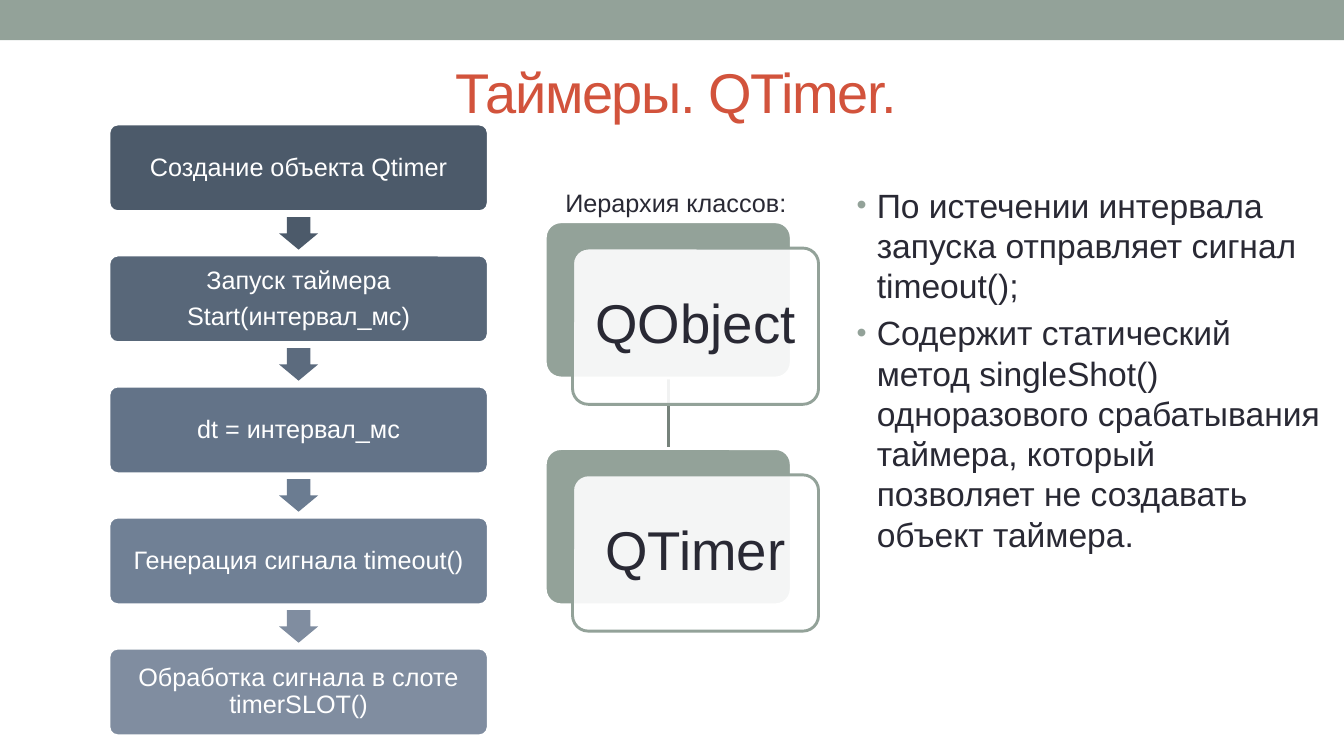
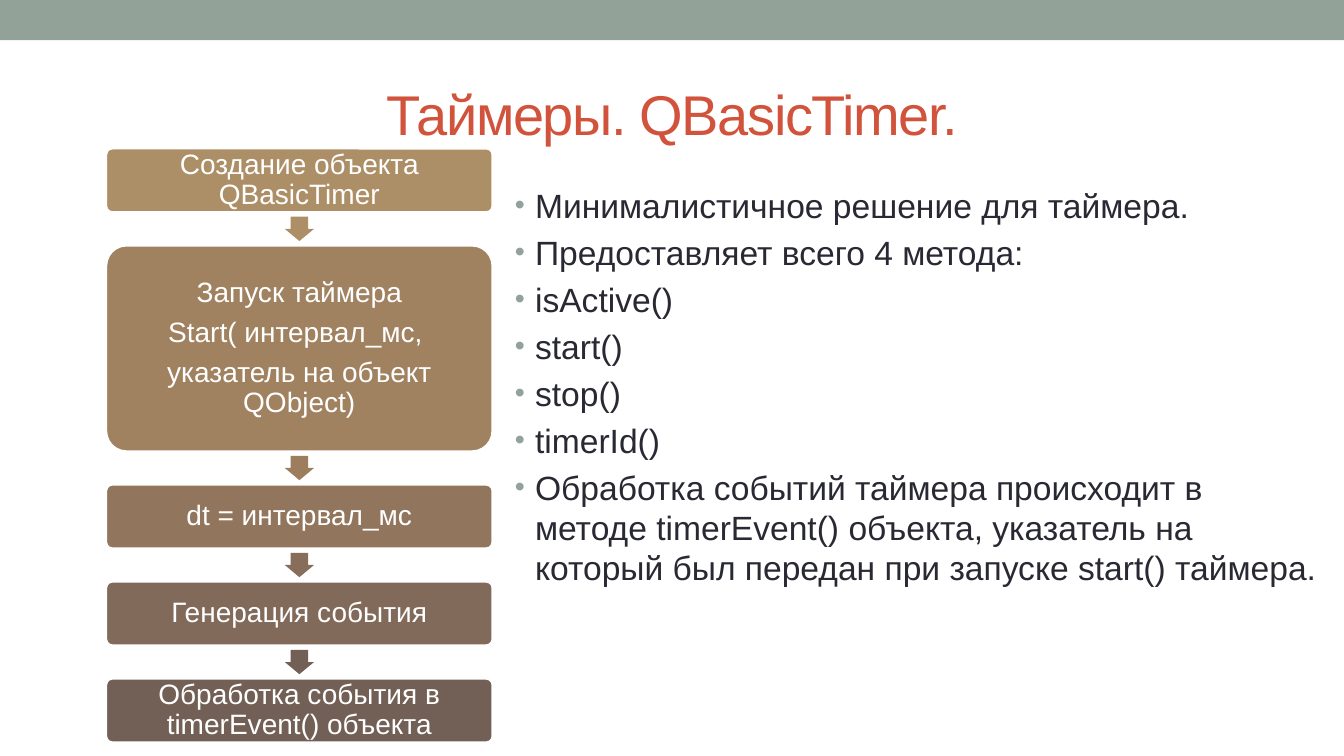
import itertools
import lxml.etree
import pptx
import pptx.dml.color
import pptx.enum.shapes
import pptx.enum.text
import pptx.oxml.ns
import pptx.util

Pt = pptx.util.Pt
qn = pptx.oxml.ns.qn
Kind = pptx.enum.shapes.MSO_SHAPE
Side = pptx.enum.text.PP_ALIGN
Hold = pptx.enum.text.MSO_ANCHOR


class Theme:
    font = "Arial"
    sage = "93A299"
    red = "D2533C"
    ink = "292934"
    white = "FFFFFF"
    link = "76827B"
    head = 40
    card = 39
    body = 24
    note = 18
    line = 2.08
    wide = 960
    high = 540
    right = 950.4


DECKS = [
    {
        "title": ("Таймеры. QTimer.", 51.1, 25.9),
        "flow": {
            "left": 77.8, "top": 88.6, "width": 271, "gap": 31, "size": 18, "inset": 5,
            "steps": [
                (["Создание объекта Qtimer"], 62.6, "4C5A6A", "4C5A6A"),
                (["Запуск таймера", "Start(интервал_мс)"], 62.6, "586779", "5C6B7E"),
                (["dt = интервал_мс"], 62.6, "637388", "6B7C91"),
                (["Генерация сигнала timeout()"], 62.6, "708095", "808DA0"),
                (["Обработка сигнала в слоте timerSLOT()"], 62.6, "808DA0", None),
            ],
        },
        "tree": ("Иерархия классов:", ["QObject", "QTimer"]),
        "list": (604.8, [
            "По истечении интервала запуска отправляет сигнал timeout();",
            "Содержит статический метод singleShot() одноразового срабатывания таймера, "
            "который позволяет не создавать объект таймера.",
        ]),
    },
    {
        "title": ("Таймеры. QBasicTimer.", 48.2, 41.8),
        "flow": {
            "left": 75.6, "top": 105.8, "width": 276.5, "gap": 23.2, "size": 20, "inset": 5.5,
            "steps": [
                (["Создание объекта QBasicTimer"], 46.1, "AD8F67", "AD8F67"),
                (["Запуск таймера", "Start( интервал_мс, ", "указатель на объект QObject)"],
                 147.6, "A18260", "9C7D5E"),
                (["dt = интервал_мс"], 46.1, "91755D", "866E5B"),
                (["Генерация события"], 46.1, "816A5A", "726056"),
                (["Обработка события в timerEvent() объекта"], 46.1, "726056", None),
            ],
        },
        "list": (360.7, [
            "Минималистичное решение для таймера.",
            "Предоставляет всего 4 метода:",
            "isActive()",
            "start()",
            "stop()",
            "timerId()",
            "Обработка событий таймера происходит в методе timerEvent() объекта, "
            "указатель на который был передан при запуске start() таймера.",
        ]),
    },
]


def tint(code):
    return pptx.dml.color.RGBColor.from_string(code)


def place(*box):
    return [Pt(part) for part in box]


def add_shape(slide, kind, box, fill, line=None, bends=()):
    shape = slide.shapes.add_shape(kind, *place(*box))
    shape.shadow.inherit = False
    shape.fill.solid()
    shape.fill.fore_color.rgb = tint(fill)
    if line:
        shape.line.color.rgb = tint(line)
        shape.line.width = Pt(Theme.line)
    else:
        shape.line.fill.background()
    for spot, bend in enumerate(bends):
        shape.adjustments[spot] = bend
    return shape


def write(shape, lines, size, color, side=Side.CENTER, hold=Hold.MIDDLE, inset=None):
    frame = shape.text_frame
    frame.word_wrap = True
    frame.vertical_anchor = hold
    if inset is not None:
        frame.margin_left = frame.margin_right = Pt(inset)
        frame.margin_top = frame.margin_bottom = Pt(inset)
    for spot, line in enumerate(lines):
        para = frame.add_paragraph() if spot else frame.paragraphs[0]
        para.alignment = side
        run = para.add_run()
        run.text = line
        run.font.name = Theme.font
        run.font.size = Pt(size)
        run.font.color.rgb = tint(color)
    return frame.paragraphs


def add_text(slide, box, *args, **extra):
    return write(slide.shapes.add_textbox(*place(*box)), *args, **extra)


def pack(paras, size):
    for para in paras:
        para.line_spacing = 0.9
        para.space_after = Pt(0.35 * size)


def draw_base(slide, text, left, top):
    add_shape(slide, Kind.RECTANGLE, (0, 0, Theme.wide, 28.8), Theme.sage)
    paras = add_text(slide, (left, top, 864, 77.8), [text], Theme.head, Theme.red)
    paras[0].runs[0].font._element.set("spc", "-100")


def draw_flow(slide, left, top, width, gap, size, inset, steps):
    wide, high = 0.9 * gap, 0.75 * gap
    for lines, tall, fill, arrow in steps:
        box = add_shape(slide, Kind.ROUNDED_RECTANGLE, (left, top, width, tall),
                        fill, Theme.white, [0.1])
        pack(write(box, lines, size, Theme.white, inset=inset), size)
        top += tall + gap
        if arrow:
            spot = (left + (width - wide) / 2, top - (gap + high) / 2, wide, high)
            add_shape(slide, Kind.DOWN_ARROW, spot, arrow, bends=[0.6, 0.5])


def draw_tree(slide, label, names):
    left, top, wide, high, step = 389.5, 158.4, 175.7, 111.6, 162
    mid = left + wide / 2
    tops = [top + step * spot for spot in range(len(names))]
    for start, end in itertools.pairwise(tops):
        link = slide.shapes.add_connector(pptx.enum.shapes.MSO_CONNECTOR.STRAIGHT,
                                          *place(mid, start + high, mid, end))
        link.line.color.rgb = tint(Theme.link)
        link.line.width = Pt(Theme.line)
        lxml.etree.SubElement(link.element.spPr, qn("a:effectLst"))
    for name, top in zip(names, tops):
        add_shape(slide, Kind.ROUNDED_RECTANGLE, (left, top, wide, high),
                  Theme.sage, Theme.white, [0.1])
        card = add_shape(slide, Kind.ROUNDED_RECTANGLE, (left + 19.5, top + 18.8, wide, high),
                         Theme.white, Theme.sage, [0.1])
        color = card.element.spPr.find(qn("a:solidFill"))[0]
        lxml.etree.SubElement(color, qn("a:alpha"), val="90000")
        pack(write(card, [name], Theme.card, Theme.ink, inset=11.5), Theme.card)
    add_text(slide, (378, 130.3, 209.5, 28.8), [label], Theme.note, Theme.ink, hold=Hold.TOP)


def draw_list(slide, left, lines):
    paras = add_text(slide, (left, 128.2, Theme.right - left, 383.8), lines,
                     Theme.body, Theme.ink, Side.LEFT, Hold.TOP)
    for para in paras:
        para.space_before = Pt(0.2 * Theme.body)
        props = para._p.get_or_add_pPr()
        props.set("marL", str(Pt(14.4)))
        props.set("indent", str(-Pt(14.4)))
        color = lxml.etree.SubElement(props, qn("a:buClr"))
        lxml.etree.SubElement(color, qn("a:srgbClr"), val=Theme.sage)
        lxml.etree.SubElement(props, qn("a:buSzPct"), val="85000")
        lxml.etree.SubElement(props, qn("a:buFont"), typeface=Theme.font)
        lxml.etree.SubElement(props, qn("a:buChar"), char="•")


def main():
    show = pptx.Presentation()
    show.slide_width, show.slide_height = place(Theme.wide, Theme.high)
    for deck in DECKS:
        slide = show.slides.add_slide(show.slide_layouts[6])
        draw_base(slide, *deck["title"])
        if "tree" in deck:
            draw_tree(slide, *deck["tree"])
        draw_flow(slide, **deck["flow"])
        draw_list(slide, *deck["list"])
    show.save("out.pptx")


if __name__ == "__main__":
    main()
